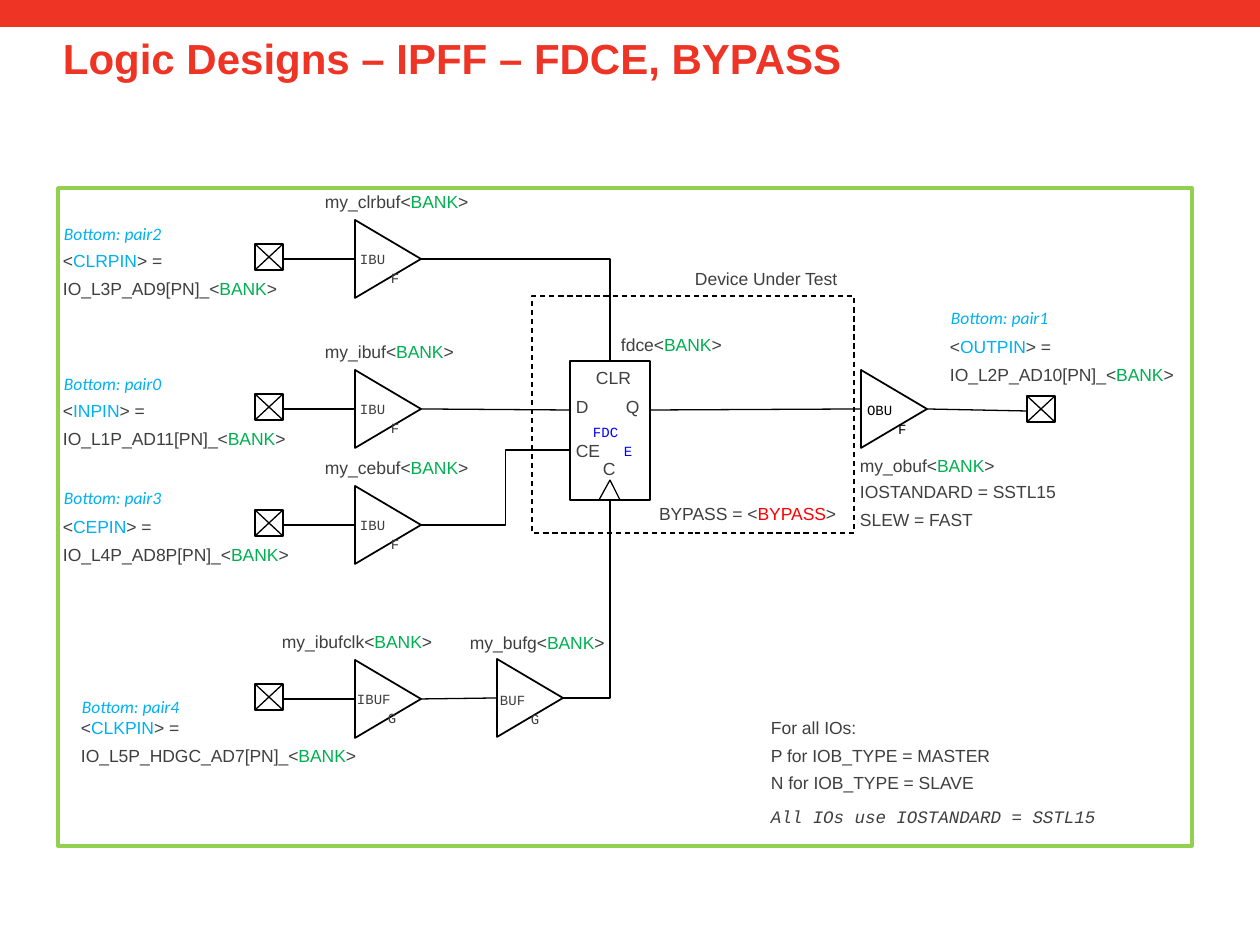
import pptx
import pptx.dml.color
import pptx.enum.dml
import pptx.enum.shapes
import pptx.enum.text
import pptx.oxml.ns
import pptx.util
from lxml import etree

COLORS = {
    "red": "EE3424", "frame": "92D050", "black": "000000", "white": "FFFFFF",
    "text": "3F3F3F", "bank": "00B050", "pin": "00B0F0", "bypass": "FF0000",
    "primitive": "0000FF",
}
NAME_COLORS = {"BANK": "bank", "BYPASS": "bypass"}  # every other <NAME> is a pin
SHAPE = pptx.enum.shapes.MSO_SHAPE
CONNECTOR = pptx.enum.shapes.MSO_CONNECTOR
LINE_HEIGHT, HANGING = 27, 31
BUFFER_WIDTH, BUFFER_HEIGHT = 66, 78
PIN_WIDTH, PIN_HEIGHT = 28, 26


def px(length):
    return round(length * 914400 / 126)


def rgb(name):
    return pptx.dml.color.RGBColor.from_string(COLORS[name])


class Schematic:
    def __init__(self, slide):
        self.slide = slide
        self.shapes = slide.shapes

    def box(self, left, top, width, height, fill=None, line=None, weight=1,
            kind=SHAPE.RECTANGLE, dashed=False):
        shape = self.shapes.add_shape(kind, px(left), px(top), px(width), px(height))
        shape.shadow.inherit = False
        if fill:
            shape.fill.solid()
            shape.fill.fore_color.rgb = rgb(fill)
        else:
            shape.fill.background()
        if line:
            shape.line.color.rgb = rgb(line)
            shape.line.width = pptx.util.Pt(weight)
        else:
            shape.line.fill.background()
        if dashed:
            shape.line.dash_style = pptx.enum.dml.MSO_LINE.DASH
        return shape

    def wire(self, x1, y1, x2, y2, kind=CONNECTOR.STRAIGHT, preset=None):
        connector = self.shapes.add_connector(kind, px(x1), px(y1), px(x2), px(y2))
        connector.line.color.rgb = rgb("black")
        connector.line.width = pptx.util.Pt(0.75)
        properties = connector._element.spPr
        etree.SubElement(properties, pptx.oxml.ns.qn("a:effectLst"))
        if preset:
            properties.find(pptx.oxml.ns.qn("a:prstGeom")).set("prst", preset)

    def corner(self, x1, y1, x2, y2):
        self.wire(x1, y1, x2, y2, CONNECTOR.ELBOW, "bentConnector2")

    def text(self, left, top, width, *lines, size=10, font="Arial", color="text",
             bold=False, italic=False, hanging=True, right=0, spacing=1.1):
        height = 9 + LINE_HEIGHT * len(lines) * size / 10
        shape = self.shapes.add_textbox(px(left), px(top), px(width), px(height))
        frame = shape.text_frame
        frame.word_wrap = True
        frame.margin_left, frame.margin_right = 0, px(right)
        for index, line in enumerate(lines):
            paragraph = frame.paragraphs[0] if index == 0 else frame.add_paragraph()
            paragraph.line_spacing = spacing
            if hanging:
                paragraph.space_before = pptx.util.Pt(round(0.24 * size, 2))
                paragraph._p.get_or_add_pPr().set("marL", str(px(HANGING)))
                paragraph._p.get_or_add_pPr().set("indent", str(-px(HANGING)))
            # Names between angle brackets take their own colour
            parts = line.replace("<", "<|").replace(">", "|>").split("|")
            for position, part in enumerate(parts):
                run = paragraph.add_run()
                run.text = part
                run.font.name, run.font.size = font, pptx.util.Pt(size)
                run.font.bold, run.font.italic = bold, italic
                named = position % 2 == 1
                run.font.color.rgb = rgb(NAME_COLORS.get(part, "pin") if named else color)

    def code(self, left, top, name, color="text"):
        # Narrow enough for the last letter to drop to the next line
        width = 53 if len(name) == 5 else 46
        self.text(left, top, width, name, size=8, font="Courier New",
                  color=color, right=13)

    def pair(self, left, top, number):
        self.text(left, top, 112, f"Bottom: pair{number}", font="Calibri",
                  color="pin", italic=True)

    def buffer(self, left, middle):
        shape = self.box(left + (BUFFER_WIDTH - BUFFER_HEIGHT) / 2,
                         middle - BUFFER_WIDTH / 2, BUFFER_HEIGHT, BUFFER_WIDTH,
                         "white", "black", kind=SHAPE.ISOSCELES_TRIANGLE)
        shape.rotation = 90

    def pin(self, left, middle):
        top, bottom = middle - PIN_HEIGHT / 2, middle + PIN_HEIGHT / 2
        right = left + PIN_WIDTH
        self.shapes = self.slide.shapes.add_group_shape().shapes
        self.box(left, top, PIN_WIDTH, PIN_HEIGHT, line="black")
        self.wire(left, top, right, bottom)
        self.wire(left, bottom, right, top)
        self.shapes = self.slide.shapes


def main():
    presentation = pptx.Presentation()
    presentation.slide_width, presentation.slide_height = px(1260), px(945)
    slide = presentation.slides.add_slide(presentation.slide_layouts[6])
    schematic = Schematic(slide)

    # Header, frame and device boundary
    schematic.box(0, 0, 1260, 27, "red")
    schematic.box(58, 188, 1134, 658, "white", "frame", 2)
    schematic.box(532, 296, 322, 237, line="black", weight=0.75, dashed=True)
    schematic.text(63, 29, 1134, "Logic Designs – IPFF – FDCE, BYPASS", size=24,
                   color="red", bold=True, hanging=False, spacing=0.98)

    # Input rows: middle, buffer label and its left, code and its left,
    # pin name, pin location, text left, text top, pair number, pair top
    inputs = [
        (259, "my_clrbuf", 325, "IBUF", 360, "CLRPIN", "IO_L3P_AD9[PN]", 63, 242, 2, 215),
        (409, "my_ibuf", 325, "IBUF", 360, "INPIN", "IO_L1P_AD11[PN]", 63, 392, 0, 365),
        (525, "my_cebuf", 325, "IBUF", 360, "CEPIN", "IO_L4P_AD8P[PN]", 63, 508, 3, 479),
        (699, "my_ibufclk", 282, "IBUFG", 357, "CLKPIN", "IO_L5P_HDGC_AD7[PN]", 81, 709, 4, 688),
    ]
    for (middle, label, label_left, code, code_left, pin, location,
         left, top, number, pair_top) in inputs:
        schematic.buffer(355, middle)
        schematic.pin(255, middle - 2)
        schematic.wire(283, middle, 355, middle)
        schematic.text(label_left, middle - 76, 166, f"{label}<BANK>")
        schematic.code(code_left, middle - 16, code)
        schematic.text(left, top, 291 if left > 63 else 240,
                       f"<{pin}> =", f"{location}_<BANK>")
        schematic.pair(left + 1, pair_top, number)

    # Clock buffer
    schematic.buffer(497, 698)
    schematic.text(470, 624, 149, "my_bufg<BANK>")
    schematic.code(500, 684, "BUFG")

    # Output buffer and pin
    schematic.buffer(861, 409)
    schematic.pin(1027, 409)
    schematic.code(867, 394, "OBUF", "black")
    schematic.text(860, 447, 149, "my_obuf<BANK>")
    schematic.text(860, 473, 212, "IOSTANDARD = SSTL15", "SLEW = FAST")
    schematic.pair(951, 299, 1)
    schematic.text(950, 328, 238, "<OUTPIN> =", "IO_L2P_AD10[PN]_<BANK>")

    # Wires between the buffers and the flip-flop
    for ends in [(421, 409, 570, 410), (650, 410, 861, 409),
                 (926, 409, 1027, 411), (421, 699, 497, 698)]:
        schematic.wire(*ends)
    schematic.corner(421, 259, 610, 361)
    schematic.corner(562, 698, 610, 500)
    schematic.wire(421, 525, 590, 450, CONNECTOR.ELBOW)

    # Flip-flop with its clock mark and ports
    schematic.box(570, 361, 80, 139, "white", "black")
    schematic.wire(599, 500, 610, 480)
    schematic.wire(610, 480, 620, 500)
    for left, top, width, port in [(576, 388, 25, "D"), (626, 388, 26, "Q"),
                                   (603, 450, 25, "C"), (576, 432, 38, "CE"),
                                   (596, 359, 48, "CLR")]:
        schematic.text(left, top, width, port)
    schematic.code(593, 416, "FDCE", "primitive")
    schematic.text(621, 326, 139, "fdce<BANK>")
    schematic.text(695, 260, 159, "Device Under Test")
    schematic.text(659, 495, 194, "BYPASS = <BYPASS>")

    # Notes
    schematic.text(771, 709, 234, "For all IOs:", "P for IOB_TYPE = MASTER",
                   "N for IOB_TYPE = SLAVE")
    schematic.text(771, 798, 341, "All IOs use IOSTANDARD = SSTL15",
                   font="Courier New", italic=True)

    presentation.save("out.pptx")


if __name__ == "__main__":
    main()
